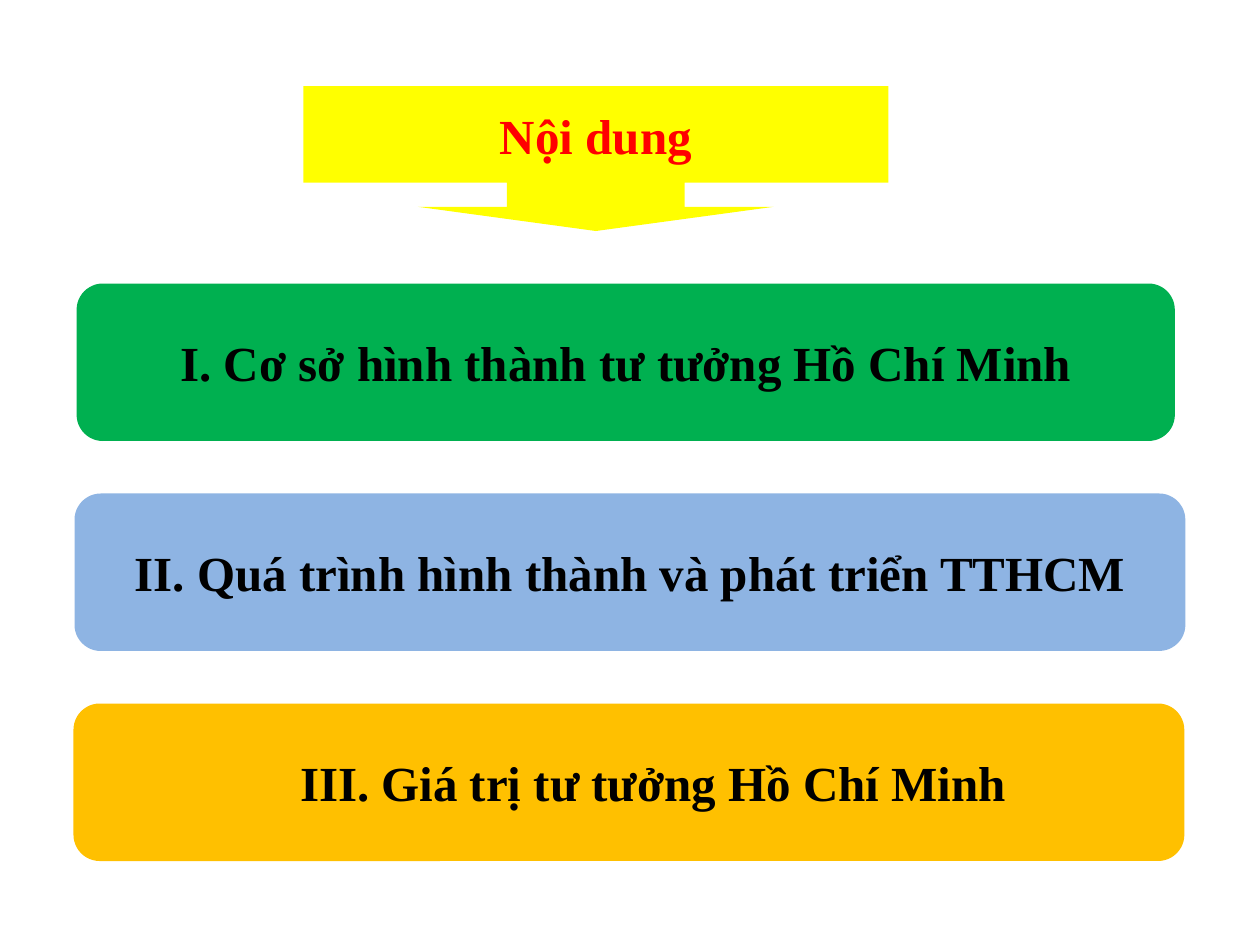
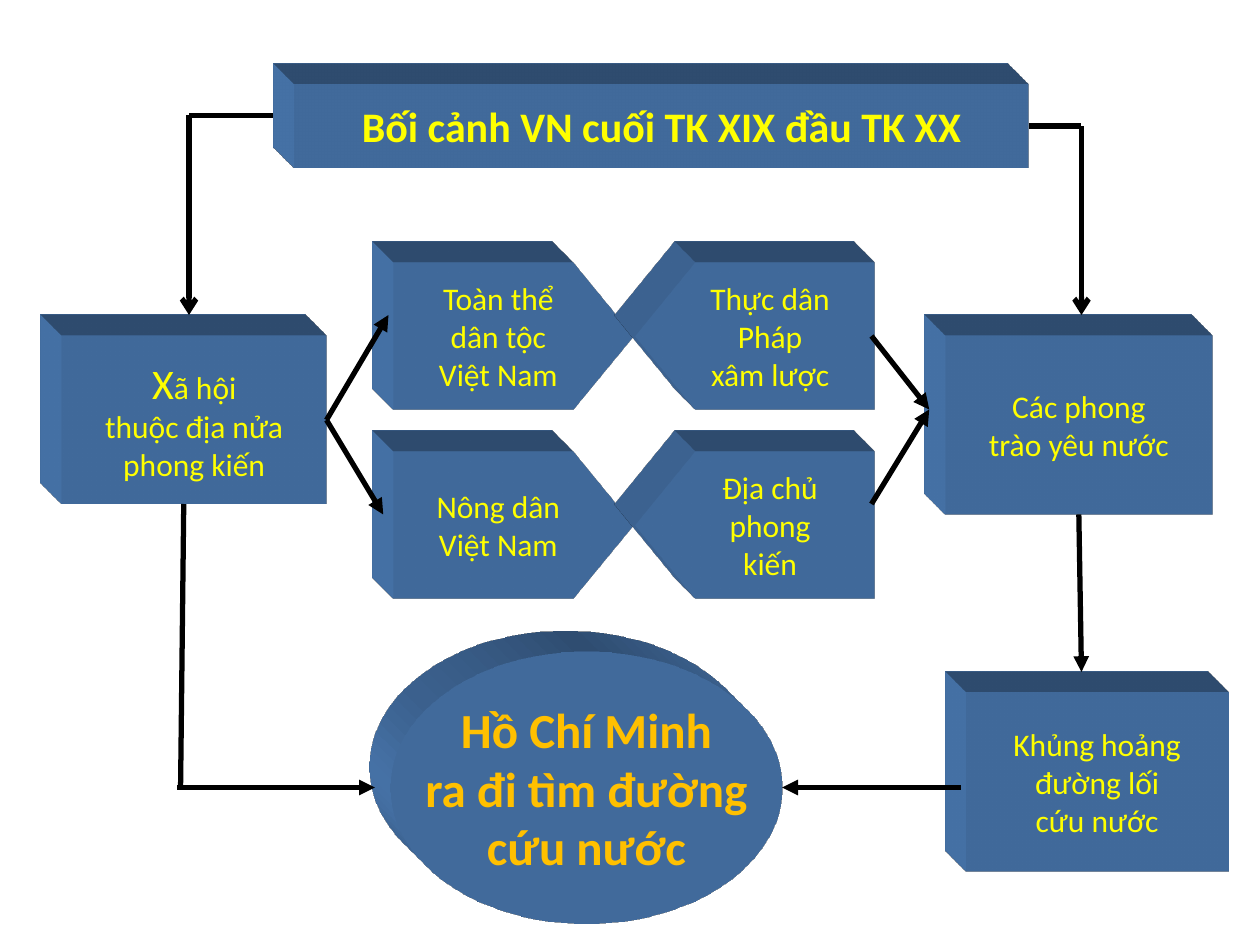
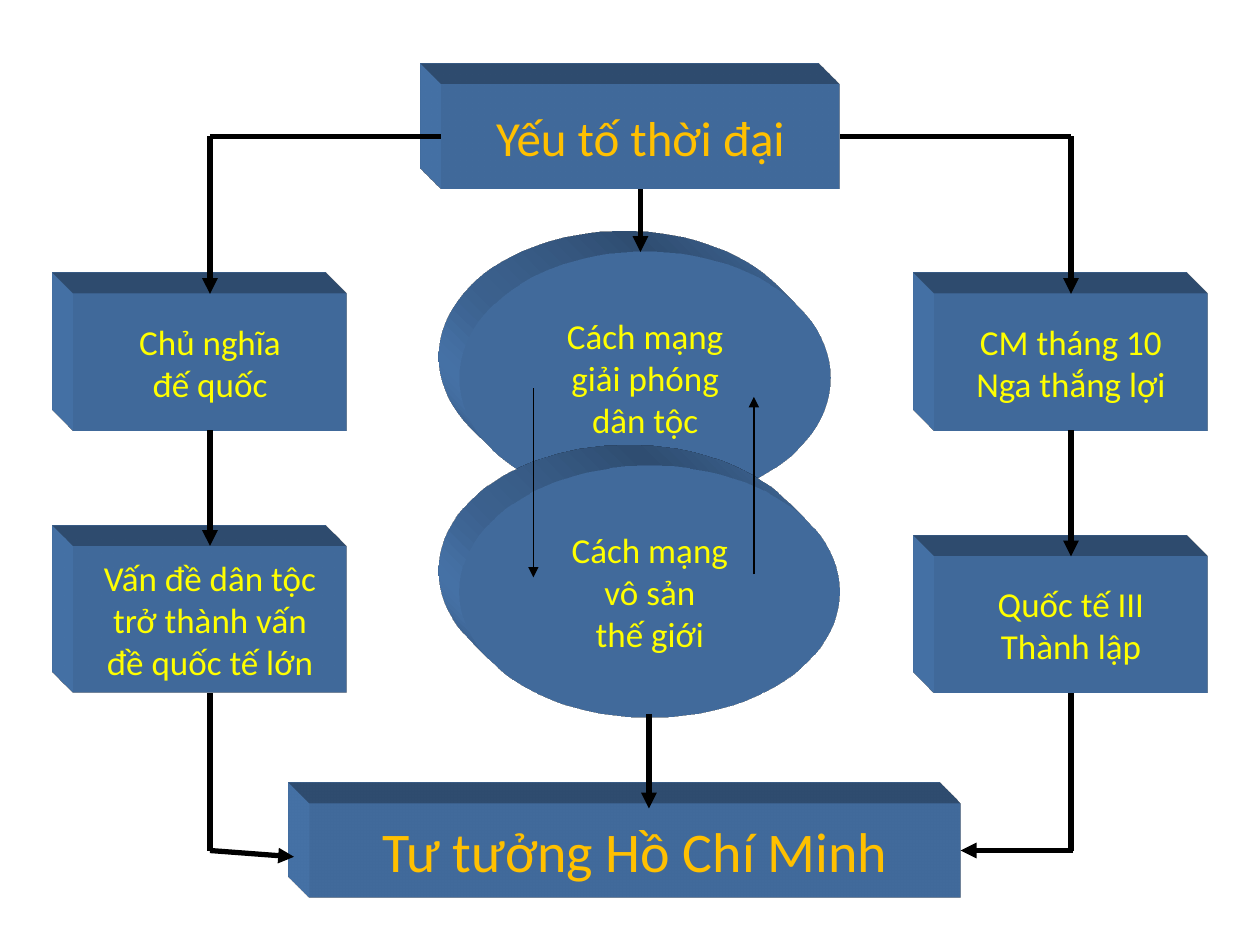
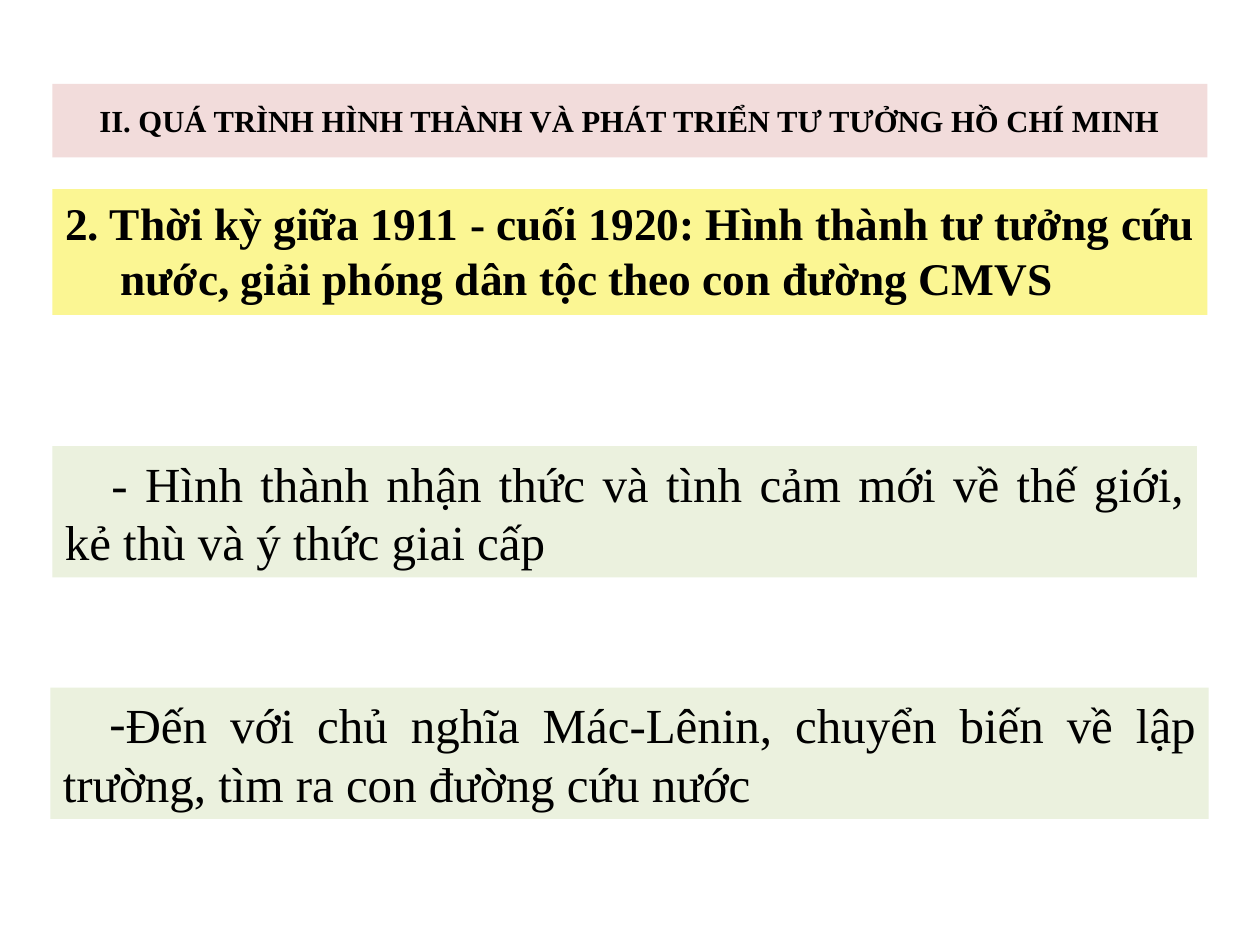
from dataclasses import dataclass

from lxml import etree
from pptx import Presentation, util as u
from pptx.dml.color import RGBColor
from pptx.enum import shapes, text
from pptx.oxml import parse_xml
from pptx.oxml.ns import nsdecls, qn

BLACK = RGBColor(0x00, 0x00, 0x00)
RED = RGBColor(0xFF, 0x00, 0x00)
YELLOW = RGBColor(0xFF, 0xFF, 0x00)
GOLD = RGBColor(0xFF, 0xC0, 0x00)
GREEN = RGBColor(0x00, 0xB0, 0x50)
SKY = RGBColor(0x8E, 0xB4, 0xE3)
BLUE = RGBColor(0x4F, 0x81, 0xBD)
PINK = RGBColor(0xF2, 0xDC, 0xDB)
LEMON = RGBColor(0xFB, 0xF6, 0x93)
SAGE = RGBColor(0xEB, 0xF1, 0xDE)

SERIF, SANS = "Times New Roman", "Calibri"
COLUMNS, ROWS = 120, 90
TOP, LEFT, BOTTOM, RIGHT = 0, 1, 2, 3
SHAPE = shapes.MSO_SHAPE
ALIGN = text.PP_ALIGN

SCENE = (
    f'<a:scene3d {nsdecls("a")}><a:camera prst="legacyObliqueTopLeft"/>'
    '<a:lightRig rig="legacyFlat3" dir="b"/></a:scene3d>'
)
EXTRUSION = (
    f'<a:sp3d {nsdecls("a")} extrusionH="430200" prstMaterial="legacyMatte">'
    '<a:bevelT w="13500" h="13500" prst="angle"/>'
    '<a:bevelB w="13500" h="13500" prst="angle"/>'
    f'<a:extrusionClr><a:srgbClr val="{BLUE}"/></a:extrusionClr></a:sp3d>'
)


@dataclass
class Area:
    """A region of the slide, measured in EMU and divided into grid cells."""
    left: int
    top: int
    width: int
    height: int

    def point(self, col, row):
        return (int(self.left + self.width * col / COLUMNS),
                int(self.top + self.height * row / ROWS))

    def cells(self, col, row, cols, rows):
        return (*self.point(col, row),
                int(self.width * cols / COLUMNS), int(self.height * rows / ROWS))


def style_text(frame, font, size, color, bold=False, align=ALIGN.CENTER):
    for paragraph in frame.paragraphs:
        paragraph.alignment = align
        for run in paragraph.runs:
            run.font.name = font
            run.font.size = u.Pt(size)
            run.font.color.rgb = color
            run.font.bold = bold


def set_indent(paragraph, margin, first_line, bullet=None):
    """Indent in inches; without a bullet sign any inherited one is removed."""
    properties = paragraph._p.get_or_add_pPr()
    properties.set("marL", str(u.Inches(margin)))
    properties.set("indent", str(u.Inches(first_line)))
    if bullet:
        etree.SubElement(properties, qn("a:buFont")).set("typeface", SERIF)
        etree.SubElement(properties, qn("a:buChar")).set("char", bullet)
    else:
        etree.SubElement(properties, qn("a:buNone"))


def add_panel(slide, kind, cells, fill, wording, wrap=False):
    panel = slide.shapes.add_shape(kind, *cells)
    panel.shadow.inherit = False
    panel.fill.solid()
    panel.fill.fore_color.rgb = fill
    panel.line.fill.background()
    frame = panel.text_frame
    frame.text = wording
    frame.word_wrap = wrap
    frame.vertical_anchor = text.MSO_ANCHOR.MIDDLE
    return panel


def add_block(slide, cells, wording, size, color=YELLOW, bold=False,
              kind=SHAPE.RECTANGLE):
    """Blue shape extruded towards the top left."""
    block = add_panel(slide, kind, cells, BLUE, wording)
    style_text(block.text_frame, SANS, size, color, bold)
    for part in (SCENE, EXTRUSION):
        block._element.spPr.append(parse_xml(part))
    return block


def add_link(slide, area, start, end, head="triangle", width=3):
    """Line between two ends, each a grid point or a (block, side) pair."""
    def is_joint(place):
        return not isinstance(place[0], (int, float))

    ends = [(0, 0) if is_joint(place) else area.point(*place)
            for place in (start, end)]
    link = slide.shapes.add_connector(shapes.MSO_CONNECTOR.STRAIGHT,
                                      *ends[0], *ends[1])
    if is_joint(start):
        link.begin_connect(*start)
    if is_joint(end):
        link.end_connect(*end)
    link.line.color.rgb = BLACK
    link.line.width = u.Pt(width)
    if head:
        etree.SubElement(link.line._get_or_add_ln(),
                         qn("a:tailEnd")).set("type", head)
    etree.SubElement(link._element.spPr, qn("a:effectLst"))


def build_contents(slide, area):
    heading = add_panel(slide, SHAPE.DOWN_ARROW_CALLOUT,
                        area.cells(28.9, 8.2, 55.7, 13.8), YELLOW, "Nội dung")
    for index, share in enumerate((1.227, 1.227, 0.167, 0.667)):
        heading.adjustments[index] = share
    style_text(heading.text_frame, SERIF, 28, RED, True)

    chapters = (
        (7.3, 104.6, GREEN, "I. Cơ sở hình thành tư tưởng Hồ Chí Minh"),
        (7.1, 105.8, SKY, "II. Quá trình hình thành và phát triển TTHCM"),
        (7, 105.8, GOLD, "III. Giá trị tư tưởng Hồ Chí Minh"),
    )
    for index, (col, cols, fill, wording) in enumerate(chapters):
        chapter = add_panel(slide, SHAPE.ROUNDED_RECTANGLE,
                            area.cells(col, 27 + 20 * index, cols, 15),
                            fill, wording)
        style_text(chapter.text_frame, SERIF, 28, BLACK, True)
    set_indent(chapter.text_frame.paragraphs[0], 0.38, 0)


def add_social_forces(slide, area):
    """Two rows of opposed pentagons, the right one turned to face the left."""
    forces = (
        ("Toàn thể\ndân tộc\nViệt Nam", "Thực dân\nPháp\nxâm lược"),
        ("Nông dân\nViệt Nam", "Địa chủ\nphong\nkiến"),
    )
    for row, pair in enumerate(forces):
        for col, wording in enumerate(pair):
            force = add_block(slide,
                              area.cells(37.5 + 23 * col, 25 + 18 * row, 22.8, 14),
                              wording, 18, kind=SHAPE.PENTAGON)
            force.adjustments[0] = 0.41
            if col:
                force.rotation = 180
                force.text_frame._txBody.bodyPr.set("rot", "10800000")


def build_background(slide, area):
    movements = add_block(slide, area.cells(90, 32, 25.5, 17),
                          "Các phong\ntrào yêu nước", 18)
    add_social_forces(slide, area)
    add_block(slide, area.cells(92, 66, 25, 17),
              "Khủng hoảng\nđường lối\ncứu nước", 18)
    society = add_block(slide, area.cells(5.9, 32, 25.2, 16),
                        "X\nthuộc địa nửa\nphong kiến", 18)
    opening = society.text_frame.paragraphs[0]
    opening.add_run().text = "ã hội"
    style_text(society.text_frame, SANS, 18, YELLOW)
    opening.runs[0].font.size = u.Pt(24)
    add_block(slide, area.cells(37.2, 62, 37.3, 26),
              "Hồ Chí Minh\nra đi tìm đường\ncứu nước", 28, GOLD, True,
              SHAPE.OVAL)
    context = add_block(slide, area.cells(28, 8, 70, 8),
                        "Bối cảnh VN cuối TK XIX đầu TK XX", 24, bold=True)

    links = (
        ((society, RIGHT), (37, 30), "triangle"),
        ((society, RIGHT), (36.5, 49), "triangle"),
        ((83, 32), (88.5, 39), "triangle"),
        ((83, 48), (88.5, 39), "triangle"),
        ((movements, BOTTOM), (103, 64), "triangle"),
        ((17.5, 48), (17.2, 75), None),
        ((16.9, 75), (35.7, 75), "triangle"),
        ((91.5, 75), (74.5, 75), "triangle"),
        ((context, RIGHT), (103, 12), None),
        ((103, 12), (103, 30), "arrow"),
        ((18, 11), (26, 11), None),
        ((18, 11), (18, 30), "arrow"),
    )
    for start, end, head in links:
        add_link(slide, area, start, end, head)


def build_era(slide, area):
    era = add_block(slide, area.cells(42, 8, 38, 10), "Yếu tố thời đại", 28, GOLD)
    thought = add_block(slide, area.cells(29.5, 76.5, 62, 9),
                        "Tư tưởng Hồ Chí Minh", 32, GOLD)
    nation = add_block(slide, area.cells(7, 52, 26, 14),
                       "Vấn đề dân tộc\ntrở thành vấn\nđề quốc tế lớn", 20)
    october = add_block(slide, area.cells(89, 28, 26, 13),
                        "CM tháng 10\nNga thắng lợi", 20)
    comintern = add_block(slide, area.cells(89, 53, 26, 13),
                          "Quốc tế III\nThành lập", 20)
    add_block(slide, area.cells(43.8, 24, 35.3, 24),
              "Cách mạng\ngiải phóng\ndân tộc", 20, kind=SHAPE.OVAL)
    add_block(slide, area.cells(43.8, 44.3, 36.2, 24),
              "Cách mạng\nvô sản\nthế giới", 20, kind=SHAPE.OVAL)
    imperialism = add_block(slide, area.cells(7, 28, 26, 13),
                            "Chủ nghĩa\nđế quốc", 20)

    add_link(slide, area, (50.8, 37), (50.8, 55), width=0.75)
    add_link(slide, area, (71.8, 54.7), (71.8, 37.8), width=0.75)
    add_link(slide, area, (era, BOTTOM), (61, 24))
    add_link(slide, area, (61.8, 68), (61.8, 77))
    branches = (
        (20, LEFT, imperialism, nation),
        (102, RIGHT, october, comintern),
    )
    for col, side, cause, outcome in branches:
        add_link(slide, area, (col, 13), (era, side), None)
        add_link(slide, area, (col, 13), (cause, TOP))
        add_link(slide, area, (cause, BOTTOM), (outcome, TOP))
        add_link(slide, area, (outcome, BOTTOM), (col, 81), None)
    add_link(slide, area, (20, 81), (28, 81.6))
    add_link(slide, area, (102.2, 81), (thought, RIGHT))


def fill_placeholder(holder, cells, fill, wording):
    holder.left, holder.top, holder.width, holder.height = cells
    holder.fill.solid()
    holder.fill.fore_color.rgb = fill
    holder.text_frame.text = wording
    holder.text_frame.auto_size = text.MSO_AUTO_SIZE.NONE
    return holder.text_frame


def build_period(slide, area):
    heading = fill_placeholder(
        slide.shapes.title, area.cells(5, 8, 110, 7), PINK,
        "II. QUÁ TRÌNH HÌNH THÀNH VÀ PHÁT TRIỂN TƯ TƯỞNG HỒ CHÍ MINH")
    style_text(heading, SERIF, 17.5, BLACK, True)

    period = fill_placeholder(
        slide.placeholders[1], area.cells(5, 18, 110, 12), LEMON,
        "2. Thời kỳ giữa 1911 - cuối 1920: Hình thành tư tưởng cứu nước, "
        "giải phóng dân tộc theo con đường CMVS")
    period.paragraphs[0].space_before = u.Pt(0)
    set_indent(period.paragraphs[0], 0.44, -0.44)
    style_text(period, SERIF, 25.9, BLACK, True, ALIGN.JUSTIFY)

    findings = (
        ((5, 42.5, 109, 12.5), None,
         "- Hình thành nhận thức và tình cảm mới về thế giới, "
         "kẻ thù và ý thức giai cấp"),
        ((4.8, 65.5, 110.3, 12.5), "-",
         "Đến với chủ nghĩa Mác-Lênin, chuyển biến về lập trường, "
         "tìm ra con đường cứu nước"),
    )
    for place, bullet, wording in findings:
        finding = add_panel(slide, SHAPE.RECTANGLE, area.cells(*place),
                            SAGE, wording, wrap=True)
        set_indent(finding.text_frame.paragraphs[0], 0, 0.37, bullet)
        style_text(finding.text_frame, SERIF, 28, BLACK, align=ALIGN.JUSTIFY)


def main():
    deck = Presentation()
    deck.slide_width, deck.slide_height = u.Inches(10), u.Inches(7.5)
    page = Area(0, 0, deck.slide_width, deck.slide_height)
    content, blank = deck.slide_layouts[1], deck.slide_layouts[6]
    for layout, build in ((blank, build_contents), (blank, build_background),
                          (blank, build_era), (content, build_period)):
        build(deck.slides.add_slide(layout), page)
    deck.save("out.pptx")


if __name__ == "__main__":
    main()
